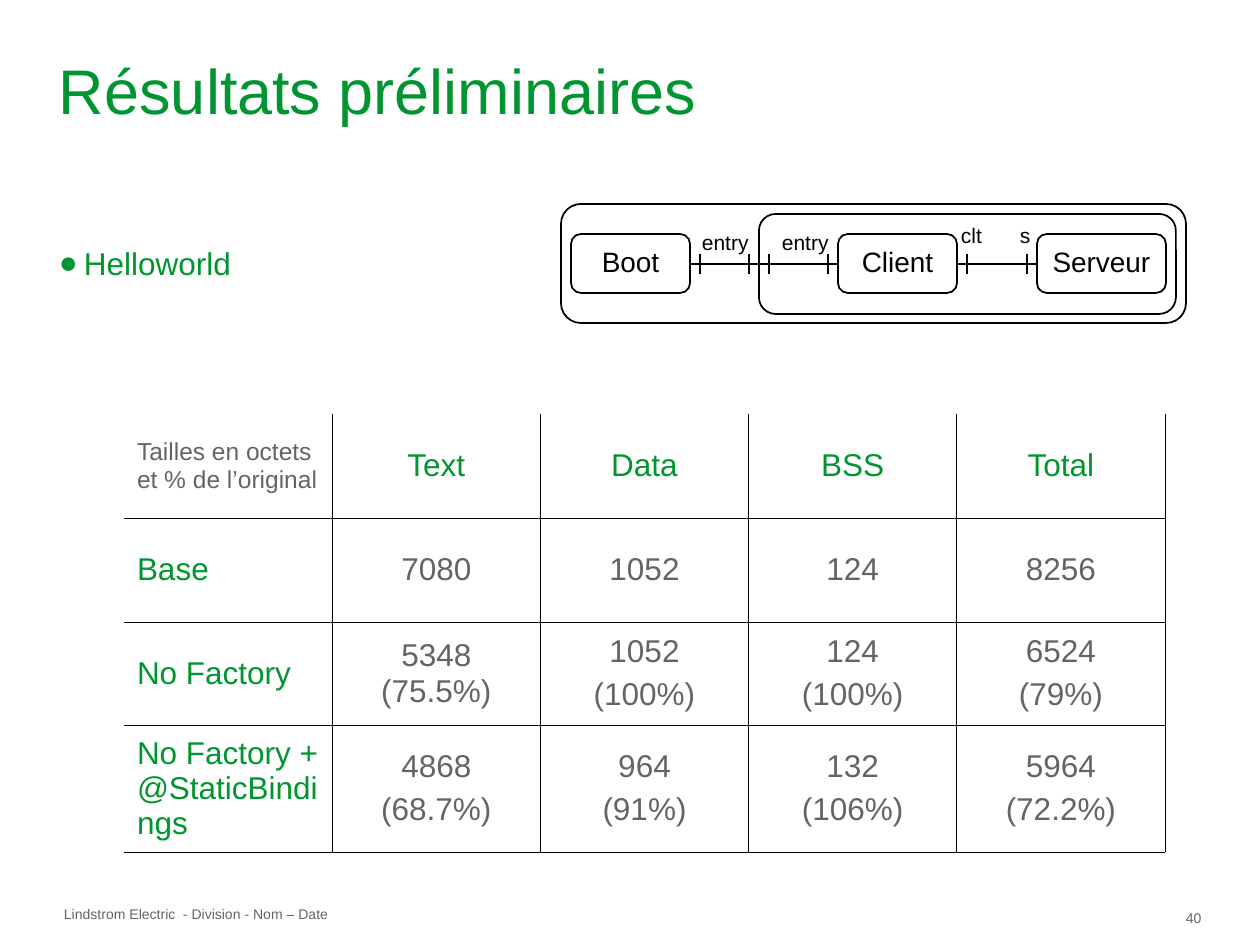
import dataclasses
import typing

import lxml.etree
import pptx
import pptx.dml.color
import pptx.enum.shapes
import pptx.enum.text
import pptx.oxml.ns
import pptx.util

GREEN = pptx.dml.color.RGBColor(0x00, 0x95, 0x30)
GREY = pptx.dml.color.RGBColor(0x62, 0x64, 0x69)
BLACK = pptx.dml.color.RGBColor(0x00, 0x00, 0x00)
FONT = "Arial"
PX_PER_INCH = 126
LEFT = pptx.enum.text.PP_ALIGN.LEFT
CENTER = pptx.enum.text.PP_ALIGN.CENTER
TOP = pptx.enum.text.MSO_ANCHOR.TOP
MIDDLE = pptx.enum.text.MSO_ANCHOR.MIDDLE

WIRE_Y = 264
STUB = 10
TICK_HALF = 10


@dataclasses.dataclass(frozen=True)
class Area:
    left: int
    top: int
    width: int
    height: int


@dataclasses.dataclass(frozen=True)
class Component:
    area: Area
    name: str = ""


@dataclasses.dataclass(frozen=True)
class Label:
    text: str
    area: Area
    size: int = 12
    color: pptx.dml.color.RGBColor = BLACK
    inset: tuple[int, int] = (13, 6)
    wrap: bool = True


@dataclasses.dataclass(frozen=True)
class Wire:
    start: int
    end: int


COMPONENTS = [
    Component(Area(561, 204, 625, 119)),
    Component(Area(759, 214, 417, 100)),
    Component(Area(571, 234, 119, 59), "Boot"),
    Component(Area(838, 234, 119, 59), "Client"),
    Component(Area(1037, 234, 129, 59), "Serveur"),
]
WIRES = [Wire(690, 759), Wire(759, 838), Wire(957, 1037)]
PORT_LABELS = [
    Label("entry", Area(689, 224, 89, 38)),
    Label("entry", Area(769, 224, 89, 38)),
    Label("clt", Area(948, 217, 59, 38)),
    Label("s", Area(1007, 217, 39, 38)),
]
FOOTERS = [
    Label("Lindstrom Electric", Area(64, 906, 113, 16), 8, GREY, (0, 0), False),
    Label("- Division - Nom – Date", Area(183, 906, 150, 16), 8, GREY, (0, 0), False),
    Label("40", Area(1186, 910, 40, 10), 8, GREY, (0, 0)),
]

TABLE_AREA = Area(124, 414, 1041, 438)
ROW_HEIGHTS = [104, 104, 103, 127]
SIZES = [
    ["Tailles en octets et % de l’original", "Text", "Data", "BSS", "Total"],
    ["Base", "7080", "1052", "124", "8256"],
    ["No Factory", "5348 (75.5%)", "1052\n(100%)", "124\n(100%)", "6524\n(79%)"],
    ["No Factory + @StaticBindings", "4868\n(68.7%)", "964\n(91%)",
     "132\n(106%)", "5964\n(72.2%)"],
]


def px(length: int) -> pptx.util.Emu:
    return pptx.util.Emu(round(length * 914400 / PX_PER_INCH))


def place(area: Area) -> tuple[pptx.util.Emu, ...]:
    return tuple(px(length) for length in dataclasses.astuple(area))


def move(shape: typing.Any, area: Area) -> None:
    shape.left, shape.top, shape.width, shape.height = place(area)


def set_frame(frame: typing.Any, anchor: typing.Any, inset_x: int = 0,
              inset_y: int = 0, wrap: bool = True) -> None:
    frame.auto_size = pptx.enum.text.MSO_AUTO_SIZE.NONE
    frame.word_wrap = wrap
    frame.vertical_anchor = anchor
    frame.margin_left = frame.margin_right = px(inset_x)
    frame.margin_top = frame.margin_bottom = px(inset_y)


def write(para: typing.Any, text: str, size: int,
          color: pptx.dml.color.RGBColor, align: typing.Any = LEFT) -> None:
    para.alignment = align
    span = para.add_run()
    span.text = text
    span.font.name = FONT
    span.font.size = pptx.util.Pt(size)
    span.font.color.rgb = color


def add_bullet(para: typing.Any, indent: int) -> None:
    properties = para._p.get_or_add_pPr()
    properties.set("marL", str(px(indent)))
    properties.set("indent", str(-px(indent)))
    color = lxml.etree.SubElement(properties, pptx.oxml.ns.qn("a:buClr"))
    lxml.etree.SubElement(color, pptx.oxml.ns.qn("a:srgbClr"), val=str(GREEN))
    lxml.etree.SubElement(properties, pptx.oxml.ns.qn("a:buChar"), char="●")


def add_component(slide: typing.Any, component: Component) -> None:
    box = slide.shapes.add_shape(
        pptx.enum.shapes.MSO_SHAPE.ROUNDED_RECTANGLE, *place(component.area))
    box.shadow.inherit = False
    box.fill.background()
    box.line.color.rgb = BLACK
    box.line.width = pptx.util.Pt(1)
    if component.name:
        set_frame(box.text_frame, MIDDLE)
        box.text_frame.margin_bottom = px(5)
        write(box.text_frame.paragraphs[0], component.name, 16, BLACK, CENTER)


def add_line(slide: typing.Any, x1: int, y1: int, x2: int, y2: int) -> None:
    line = slide.shapes.add_connector(
        pptx.enum.shapes.MSO_CONNECTOR.STRAIGHT, px(x1), px(y1), px(x2), px(y2))
    line.line.color.rgb = BLACK
    line.line.width = pptx.util.Pt(1)
    lxml.etree.SubElement(line._element.spPr, pptx.oxml.ns.qn("a:effectLst"))


def add_wire(slide: typing.Any, wire: Wire) -> None:
    """Draw a binding with a port tick one stub away from each end."""
    ports = [wire.start + STUB, wire.end - STUB]
    stops = [wire.start, *ports, wire.end]
    for start, end in zip(stops, stops[1:]):
        add_line(slide, start, WIRE_Y, end, WIRE_Y)
    for port in ports:
        add_line(slide, port, WIRE_Y - TICK_HALF, port, WIRE_Y + TICK_HALF)


def add_label(slide: typing.Any, label: Label) -> None:
    box = slide.shapes.add_textbox(*place(label.area))
    set_frame(box.text_frame, TOP, *label.inset, wrap=label.wrap)
    write(box.text_frame.paragraphs[0], label.text, label.size, label.color)


def set_border(cell: typing.Any, side: str, visible: bool) -> None:
    border = lxml.etree.SubElement(
        cell._tc.get_or_add_tcPr(), pptx.oxml.ns.qn(f"a:ln{side}"),
        w=str(pptx.util.Pt(0.45)))
    if visible:
        fill = lxml.etree.SubElement(border, pptx.oxml.ns.qn("a:solidFill"))
        lxml.etree.SubElement(fill, pptx.oxml.ns.qn("a:srgbClr"), val=str(BLACK))
    else:
        lxml.etree.SubElement(border, pptx.oxml.ns.qn("a:noFill"))


def fill_cell(cell: typing.Any, text: str, row: int, column: int) -> None:
    cell.vertical_anchor = MIDDLE
    cell.margin_left = cell.margin_right = px(13)
    cell.margin_top = cell.margin_bottom = px(6)
    for side, visible in {"L": column > 0, "R": True, "T": row > 0, "B": True}.items():
        set_border(cell, side, visible)
    cell.fill.background()
    is_heading = (row == 0) != (column == 0)
    size = 14 if row == column == 0 else 18
    for index, line in enumerate(text.split("\n")):
        para = cell.text_frame.add_paragraph() if index else cell.text_frame.paragraphs[0]
        if index:
            para.space_before = pptx.util.Pt(4.5)
        write(para, line, size, GREEN if is_heading else GREY, CENTER if column else LEFT)


def add_size_table(slide: typing.Any) -> None:
    table = slide.shapes.add_table(len(SIZES), len(SIZES[0]), *place(TABLE_AREA)).table
    table.first_row = table.horz_banding = False
    for column in table.columns:
        column.width = px(TABLE_AREA.width) // len(SIZES[0])
    for row, texts in enumerate(SIZES):
        table.rows[row].height = px(ROW_HEIGHTS[row])
        for column, text in enumerate(texts):
            fill_cell(table.cell(row, column), text, row, column)


def main() -> None:
    deck = pptx.Presentation()
    deck.slide_width, deck.slide_height = px(1260), px(945)
    slide = deck.slides.add_slide(deck.slide_layouts.get_by_name("Title and Content"))

    title, body = slide.placeholders
    move(title, Area(59, 10, 1142, 159))
    set_frame(title.text_frame, MIDDLE)
    write(title.text_frame.paragraphs[0], "Résultats préliminaires", 36, GREEN)

    move(body, Area(59, 244, 451, 39))
    set_frame(body.text_frame, TOP)
    item = body.text_frame.paragraphs[0]
    add_bullet(item, 25)
    item.space_before = pptx.util.Pt(0)
    write(item, "Helloworld", 18, GREEN)

    for component in COMPONENTS:
        add_component(slide, component)
    for wire in WIRES:
        add_wire(slide, wire)
    for label in PORT_LABELS + FOOTERS:
        add_label(slide, label)
    add_size_table(slide)
    deck.save("out.pptx")


if __name__ == "__main__":
    main()
